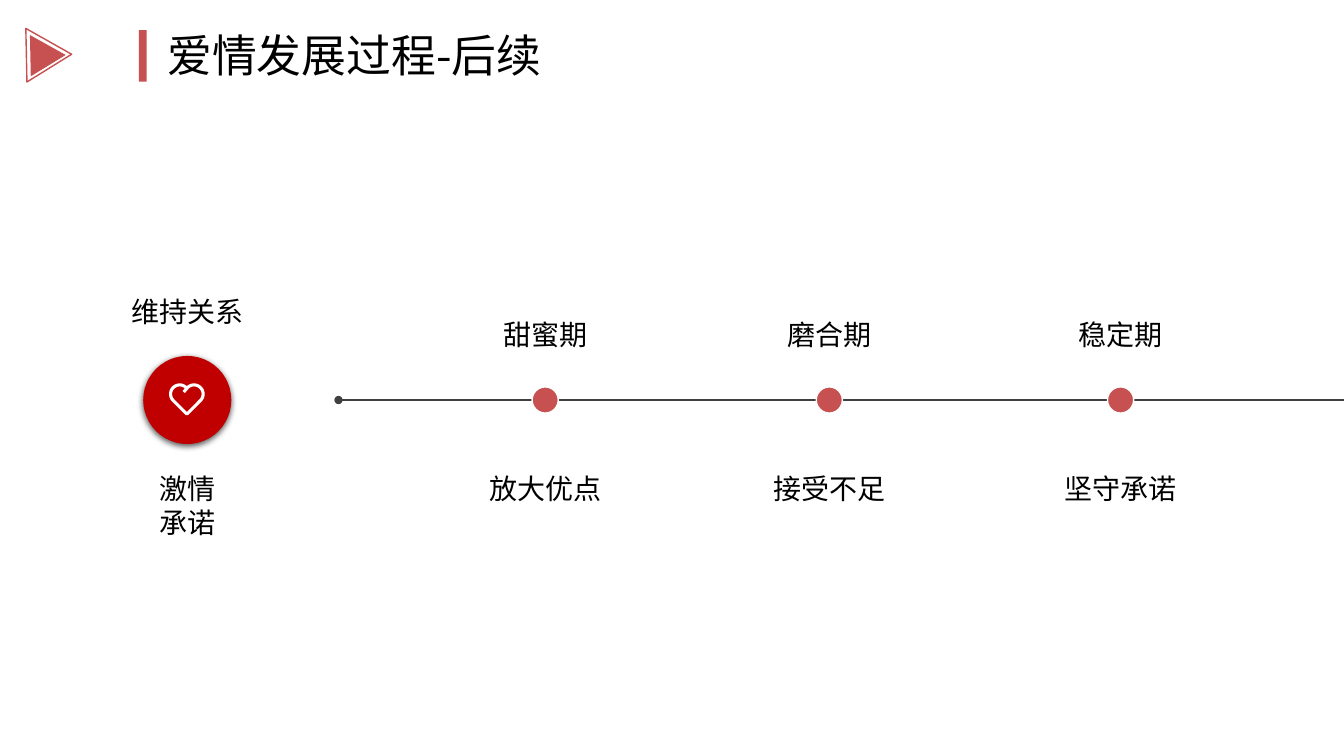
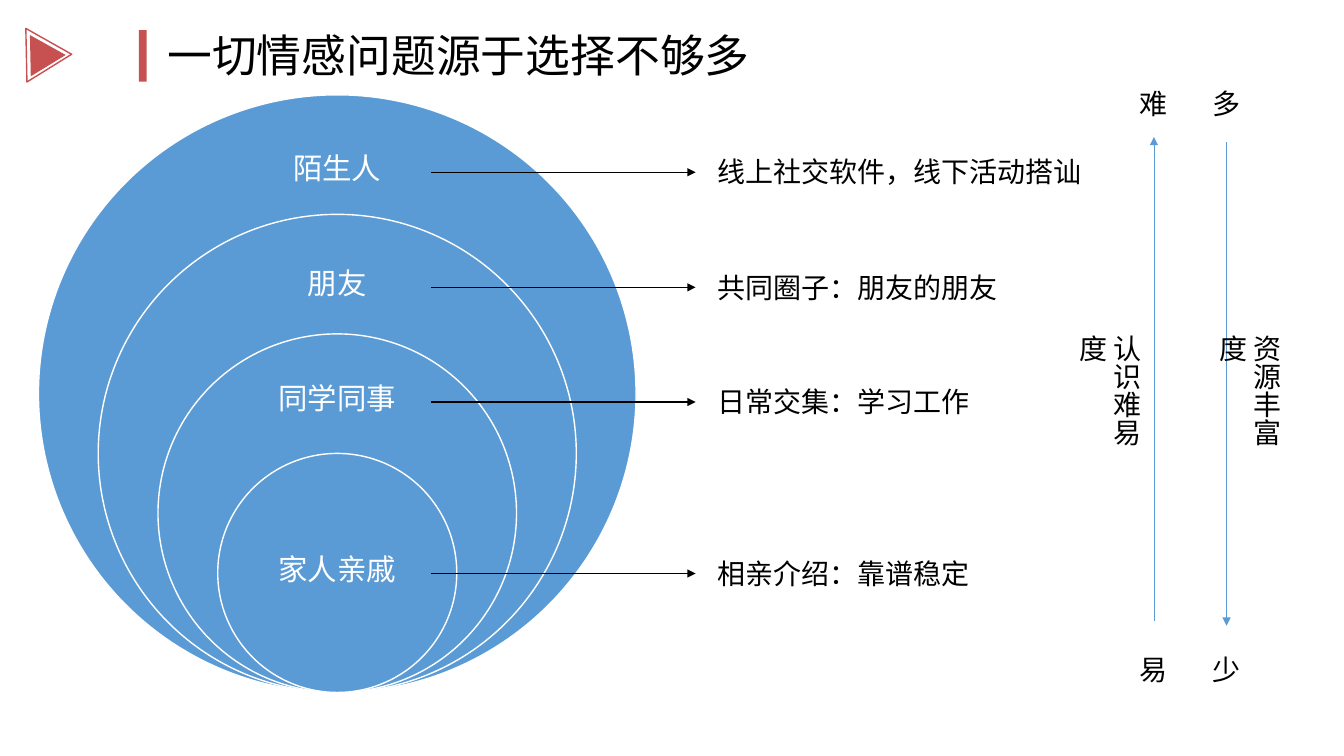
from math import cos, radians, sin

from lxml import etree
from pptx import Presentation
from pptx.dml.color import RGBColor
from pptx.enum.shapes import MSO_CONNECTOR, MSO_SHAPE
from pptx.enum.text import MSO_ANCHOR, MSO_AUTO_SIZE, PP_ALIGN
from pptx.oxml.ns import qn
from pptx.util import Cm, Pt

RECTANGLE, TRIANGLE, OVAL = MSO_SHAPE.RECTANGLE, MSO_SHAPE.ISOSCELES_TRIANGLE, MSO_SHAPE.OVAL
STRAIGHT = MSO_CONNECTOR.STRAIGHT
LEFT, CENTER = PP_ALIGN.LEFT, PP_ALIGN.CENTER
TOP, MIDDLE = MSO_ANCHOR.TOP, MSO_ANCHOR.MIDDLE
FIT_SHAPE, NO_FIT = MSO_AUTO_SIZE.SHAPE_TO_FIT_TEXT, MSO_AUTO_SIZE.NONE

COLORS = {
    "text": "000000",
    "white": "FFFFFF",
    "accent": "C75050",
    "heart": "C00000",
    "axis": "404040",
    "blue": "5B9BD5",
}
FONT = "Noto Sans CJK SC"
TITLE_ONLY = 5
SLIDE_WIDTH, SLIDE_HEIGHT = 33.87, 19.05


def rgb(name):
    return RGBColor.from_string(COLORS[name])


def write_text(shape, text, size=20, color="text", font=FONT, align=LEFT, anchor=TOP,
               fit=FIT_SHAPE, line_spacing=None, vertical=False):
    """Fill a shape with text, one paragraph per line."""
    frame = shape.text_frame
    frame.text = text
    frame.word_wrap = True
    frame.auto_size = fit
    frame.vertical_anchor = anchor
    if vertical:
        frame._txBody.bodyPr.set("vert", "eaVert")
    for paragraph in frame.paragraphs:
        paragraph.alignment = align
        paragraph.line_spacing = line_spacing
        for run in paragraph.runs:
            run.font.size = Pt(size)
            run.font.color.rgb = rgb(color)
            run.font.name = font
            east_asian = etree.SubElement(run._r.get_or_add_rPr(), qn("a:ea"))
            east_asian.set("typeface", FONT)


def add_text(slide, text, left, top, width, height=1.12, **text_format):
    box = slide.shapes.add_textbox(Cm(left), Cm(top), Cm(width), Cm(height))
    write_text(box, text, **text_format)


def add_centered_text(slide, text, center, top, width=3.4, **text_format):
    add_text(slide, text, center - width / 2, top, width, align=CENTER, **text_format)


def paint(shape, fill=None, line=None, line_width=1.0):
    shape.shadow.inherit = False
    if fill:
        shape.fill.solid()
        shape.fill.fore_color.rgb = rgb(fill)
    else:
        shape.fill.background()
    if line:
        shape.line.color.rgb = rgb(line)
        shape.line.width = Pt(line_width)
    else:
        shape.line.fill.background()


def add_shape(slide, kind, left, top, width, height, rotation=0, **colors):
    shape = slide.shapes.add_shape(kind, Cm(left), Cm(top), Cm(width), Cm(height))
    shape.rotation = rotation
    paint(shape, **colors)
    return shape


def add_circle(slide, center_x, center_y, diameter, **colors):
    return add_shape(slide, OVAL, center_x - diameter / 2, center_y - diameter / 2,
                     diameter, diameter, **colors)


def add_line(slide, start, end, color, width=1.0, **ends):
    """Draw a line; ends maps headEnd or tailEnd to an arrowhead type."""
    line = slide.shapes.add_connector(STRAIGHT, *map(Cm, start + end))
    line.line.color.rgb = rgb(color)
    line.line.width = Pt(width)
    outline = line.line._get_or_add_ln()
    for tag, kind in ends.items():
        etree.SubElement(outline, qn(f"a:{tag}")).set("type", kind)
    etree.SubElement(line._element.spPr, qn("a:effectLst"))


def add_soft_shadow(shape):
    effects = shape._element.spPr.find(qn("a:effectLst"))
    shadow = etree.SubElement(effects, qn("a:outerShdw"), blurRad=str(Pt(4.5)),
                              dist=str(Pt(1.5)), dir="5400000", algn="t", rotWithShape="0")
    color = etree.SubElement(shadow, qn("a:srgbClr"), val=COLORS["text"])
    etree.SubElement(color, qn("a:alpha"), val="63000")


def add_heart(slide, center_x, lobe_y, offset=0.18, radius=0.23):
    """Draw an open heart line from two lobes and a point."""
    def lobe(lobe_x, first, last):
        return [(lobe_x + radius * cos(radians(angle)), lobe_y + radius * sin(radians(angle)))
                for angle in range(first, last + 1, 5)]

    tip = (center_x, lobe_y + offset + radius * 2 ** 0.5)
    points = [(center_x - 0.08, lobe_y - 0.05), *lobe(center_x + offset, 220, 405),
              tip, *lobe(center_x - offset, 135, 320)]
    points = [(Cm(x), Cm(y)) for x, y in points]
    builder = slide.shapes.build_freeform(*points[0])
    builder.add_line_segments(points[1:], close=False)
    paint(builder.convert_to_shape(), line="white", line_width=2.2)


def add_titled_slide(presentation, title):
    slide = presentation.slides.add_slide(presentation.slide_layouts[TITLE_ONLY])
    # Title with its bar
    add_shape(slide, RECTANGLE, 3.5, 0.76, 0.2, 1.3, fill="accent")
    holder = slide.shapes.title
    holder.left, holder.top, holder.width, holder.height = map(Cm, (3.96, 0.58, 15.5, 1.63))
    write_text(holder, title, size=32, fit=NO_FIT)
    # Corner triangles
    add_shape(slide, TRIANGLE, 0.56, 0.81, 1.35, 1.14, rotation=88.8, line="accent")
    add_shape(slide, TRIANGLE, 0.69, 0.95, 1.04, 0.89, rotation=88.8, fill="accent")
    return slide


def build_timeline(presentation):
    slide = add_titled_slide(presentation, "爱情发展过程-后续")
    axis_y, lower_y = 10.08, 11.76

    # Starting point
    start_x = 4.72
    add_centered_text(slide, "维持关系", start_x, 7.29)
    add_soft_shadow(add_circle(slide, start_x, axis_y, 2.22, fill="heart"))
    add_heart(slide, start_x - 0.01, 9.93)
    add_centered_text(slide, "激情\n承诺", start_x, lower_y)

    # Stages along the axis
    add_line(slide, (8.53, axis_y), (SLIDE_WIDTH, axis_y), "axis", headEnd="oval")
    stages = [
        (13.74, "甜蜜期", "放大优点"),
        (20.9, "磨合期", "接受不足"),
        (28.24, "稳定期", "坚守承诺"),
    ]
    for center, stage, advice in stages:
        add_centered_text(slide, stage, center, 7.87)
        add_circle(slide, center, axis_y, 0.66, fill="accent", line="white")
        add_centered_text(slide, advice, center, lower_y)


def build_circles(presentation):
    slide = add_titled_slide(presentation, "一切情感问题源于选择不够多")
    center, bottom, largest = 8.5, 17.45, 15.06
    rings = [
        (4.34, "陌生人", "线上社交软件，线下活动搭讪"),
        (7.24, "朋友", "共同圈子：朋友的朋友"),
        (10.13, "同学同事", "日常交集：学习工作"),
        (14.45, "家人亲戚", "相亲介绍：靠谱稳定"),
    ]

    # Nested circles, each a fifth of the largest smaller
    for index, (row_y, group, _) in enumerate(rings):
        diameter = largest * (1 - index / 5)
        add_circle(slide, center, bottom - diameter / 2, diameter, fill="blue", line="white")
        add_centered_text(slide, group, center, row_y - 1.05, width=4.2, height=2, size=21,
                          color="white", font="Arial", anchor=MIDDLE, fit=NO_FIT,
                          line_spacing=0.9)

    # Arrows to the captions
    for row_y, _, caption in rings:
        add_line(slide, (10.87, row_y), (17.53, row_y), "text", tailEnd="triangle")
        add_text(slide, caption, 17.83, row_y - 0.56, 9.85)

    # Vertical scales
    scales = [
        (29.08, 15.65, 3.45, "难", "易", "认识难易度", 27.56),
        (30.91, 3.58, 15.77, "多", "少", "资源丰富度", 31.09),
    ]
    for scale_x, start_y, end_y, upper, lower, name, name_left in scales:
        add_line(slide, (scale_x, start_y), (scale_x, end_y), "blue", 0.5, tailEnd="triangle")
        add_text(slide, name, name_left, 8.18, 1.37, 3.89, vertical=True)
        add_centered_text(slide, upper, scale_x, 2.06, width=1.3)
        add_centered_text(slide, lower, scale_x, 16.33, width=1.3)


def main():
    presentation = Presentation()
    presentation.slide_width, presentation.slide_height = Cm(SLIDE_WIDTH), Cm(SLIDE_HEIGHT)
    build_timeline(presentation)
    build_circles(presentation)
    presentation.save("out.pptx")


if __name__ == "__main__":
    main()
